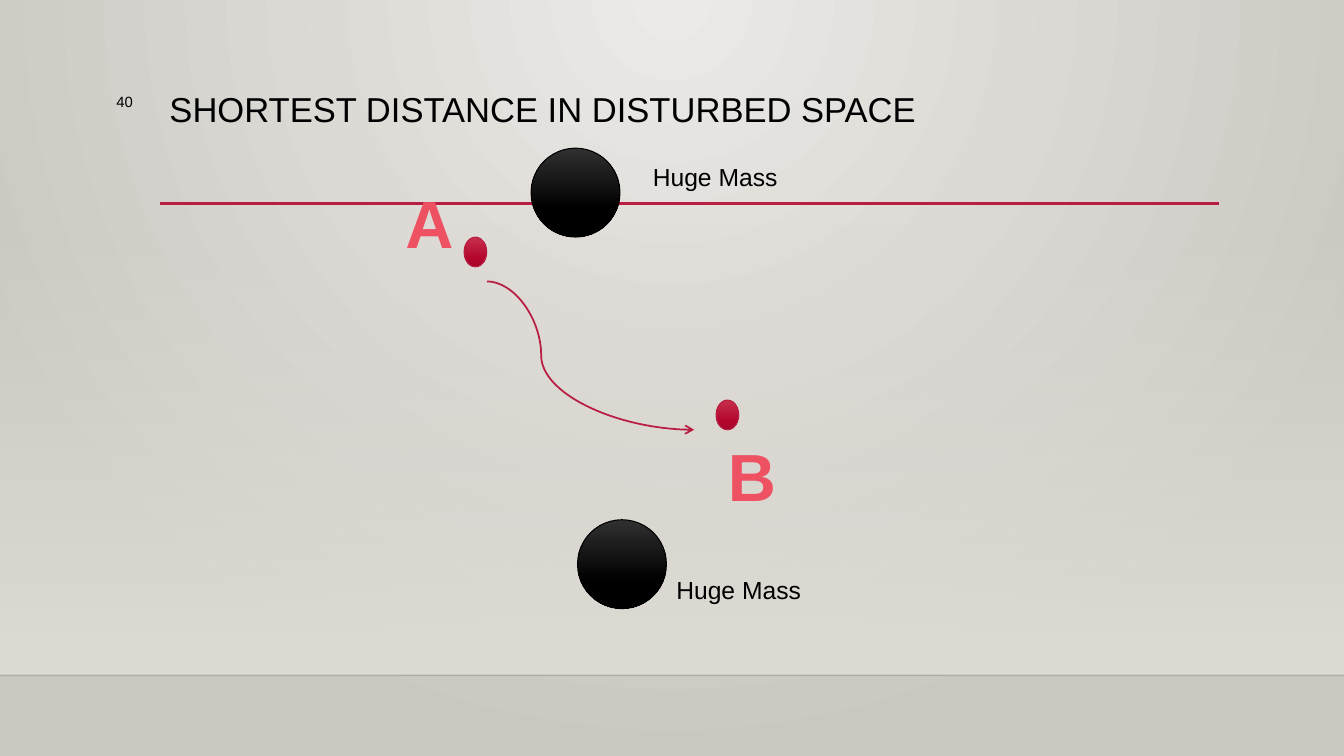
import pptx
import pptx.dml.color
import pptx.enum.shapes
import pptx.enum.text
import pptx.oxml.ns
import pptx.util
import lxml.etree

Pt = pptx.util.Pt
qn = pptx.oxml.ns.qn
SHAPES = pptx.enum.shapes.MSO_SHAPE
CONNECTORS = pptx.enum.shapes.MSO_CONNECTOR
ALIGN = pptx.enum.text.PP_ALIGN

COLOURS = {
    "ink": "000000",
    "accent": "B71E42",
    "letter": "ED5162",
    "outline": "F9F4F4",
    "floor": "000001",
}
BACKDROP = [(0, "ECEAE7", 100), (100, "CAC7C1", 100)]
HAZE = [(0, "DFDBD5", 0), (100, "DFDBD5", 100)]
POINT = [(0, "C7304C", 100), (69, "B3062F", 100), (100, "AA062C", 100)]
MASS = [(0, "303030", 100), (69, "000000", 100), (100, "000000", 100)]


def child(parent, tag, **attributes):
    return lxml.etree.SubElement(parent, qn(tag), **attributes)


class SlideWriter:
    def __init__(self, page, font="Arial"):
        self.page = page
        self.font = font

    def colour(self, name):
        return pptx.dml.color.RGBColor.from_string(COLOURS[name])

    def gradient(self, parent, stops, radial=False):
        solid = parent.find(qn("a:solidFill"))
        gradient = lxml.etree.Element(qn("a:gradFill"), rotWithShape="1")
        stop_list = child(gradient, "a:gsLst")
        for position, value, opacity in stops:
            stop = child(stop_list, "a:gs", pos=str(position * 1000))
            tint = child(stop, "a:srgbClr", val=value)
            if opacity < 100:
                child(tint, "a:alpha", val=str(opacity * 1000))
        if radial:
            shade = child(gradient, "a:path", path="circle")
            child(shade, "a:fillToRect", l="43000", t="0", r="43000", b="100000")
        else:
            child(gradient, "a:lin", ang="5400000", scaled="0")
        parent.replace(solid, gradient)

    def background(self, stops):
        self.page.background.fill.solid()
        self.gradient(self.page.element.find(".//" + qn("p:bgPr")), stops, radial=True)

    def shape(self, kind, left, top, width, height, stops, line=None):
        shape = self.page.shapes.add_shape(kind, Pt(left), Pt(top), Pt(width), Pt(height))
        shape.shadow.inherit = False
        shape.fill.solid()
        self.gradient(shape.element.spPr, stops)
        if line:
            shape.line.color.rgb = self.colour(line)
            shape.line.width = Pt(0.75)
        else:
            shape.line.fill.background()

    def disc(self, centre_x, centre_y, width, height, stops, line):
        self.shape(SHAPES.OVAL, centre_x - width / 2, centre_y - height / 2,
                   width, height, stops, line)

    def line(self, start, end, colour, weight, kind=CONNECTORS.STRAIGHT, opacity=100):
        line = self.page.shapes.add_connector(kind, *map(Pt, start + end))
        line.line.color.rgb = self.colour(colour)
        line.line.width = Pt(weight)
        properties = line.element.spPr
        child(properties, "a:effectLst")
        if opacity < 100:
            tint = properties.find(".//" + qn("a:srgbClr"))
            child(tint, "a:alpha", val=str(opacity * 1000))
        return line

    def curved_arrow(self, start, end, colour, weight, bend):
        arrow = self.line(start, end, colour, weight, CONNECTORS.CURVE)
        properties = arrow.element.spPr
        guides = properties.find(".//" + qn("a:avLst"))
        child(guides, "a:gd", name="adj1", fmla=f"val {round(bend * 100000)}")
        child(properties.find(qn("a:ln")), "a:tailEnd", type="arrow")

    def text(self, words, left, top, width, height, size, colour="ink",
             align=ALIGN.LEFT, wrap=True, bold=False, spacing=None):
        box = self.page.shapes.add_textbox(Pt(left), Pt(top), Pt(width), Pt(height))
        box.text_frame.word_wrap = wrap
        para = box.text_frame.paragraphs[0]
        para.alignment = align
        para.line_spacing = spacing
        span = para.add_run()
        span.text = words
        span.font.name = self.font
        span.font.size = Pt(size)
        span.font.bold = bold
        span.font.color.rgb = self.colour(colour)
        return span

    def letter(self, words, left, top):
        span = self.text(words, left, top, 50.4, 64.8, 47.6, "letter",
                         ALIGN.CENTER, bold=True)
        properties = span.font._element
        properties.set("spc", "260")
        outline = lxml.etree.Element(qn("a:ln"), w=str(Pt(0.9)))
        child(child(outline, "a:solidFill"), "a:srgbClr", val=COLOURS["outline"])
        properties.insert(0, outline)


def main():
    deck = pptx.Presentation()
    deck.slide_width, deck.slide_height = Pt(960), Pt(540)
    writer = SlideWriter(deck.slides.add_slide(deck.slide_layouts[6]))

    writer.background(BACKDROP)
    writer.shape(SHAPES.RECTANGLE, 0, 159, 960, 323.4, HAZE)
    writer.line((0, 482.4), (960, 482.4), "floor", 1, opacity=20)
    writer.line((114.4, 145.3), (871, 145.3), "accent", 2.5)

    writer.text("SHORTEST DISTANCE IN DISTURBED SPACE",
                114, 63, 756, 83, 24.7, spacing=0.9)
    writer.text("40", 38, 62.6, 64, 40, 10.6, align=ALIGN.RIGHT)

    for centre_x, centre_y in ((339.6, 180), (519.6, 296.4)):
        writer.disc(centre_x, centre_y, 16.2, 21.2, POINT, "accent")
    writer.letter("A", 281.5, 126.7)
    writer.letter("B", 512, 307.4)
    writer.curved_arrow((347.8, 201), (495.8, 307), "accent", 1.25, 0.262)

    for centre_x, centre_y in ((444.3, 403), (411.1, 137.6)):
        writer.disc(centre_x, centre_y, 63.5, 63.5, MASS, "ink")
    for left, top in ((459.2, 112.3), (476, 406.8)):
        writer.text("Huge Mass", left, top, 105, 29, 17.6, wrap=False)

    deck.save("out.pptx")


if __name__ == "__main__":
    main()
